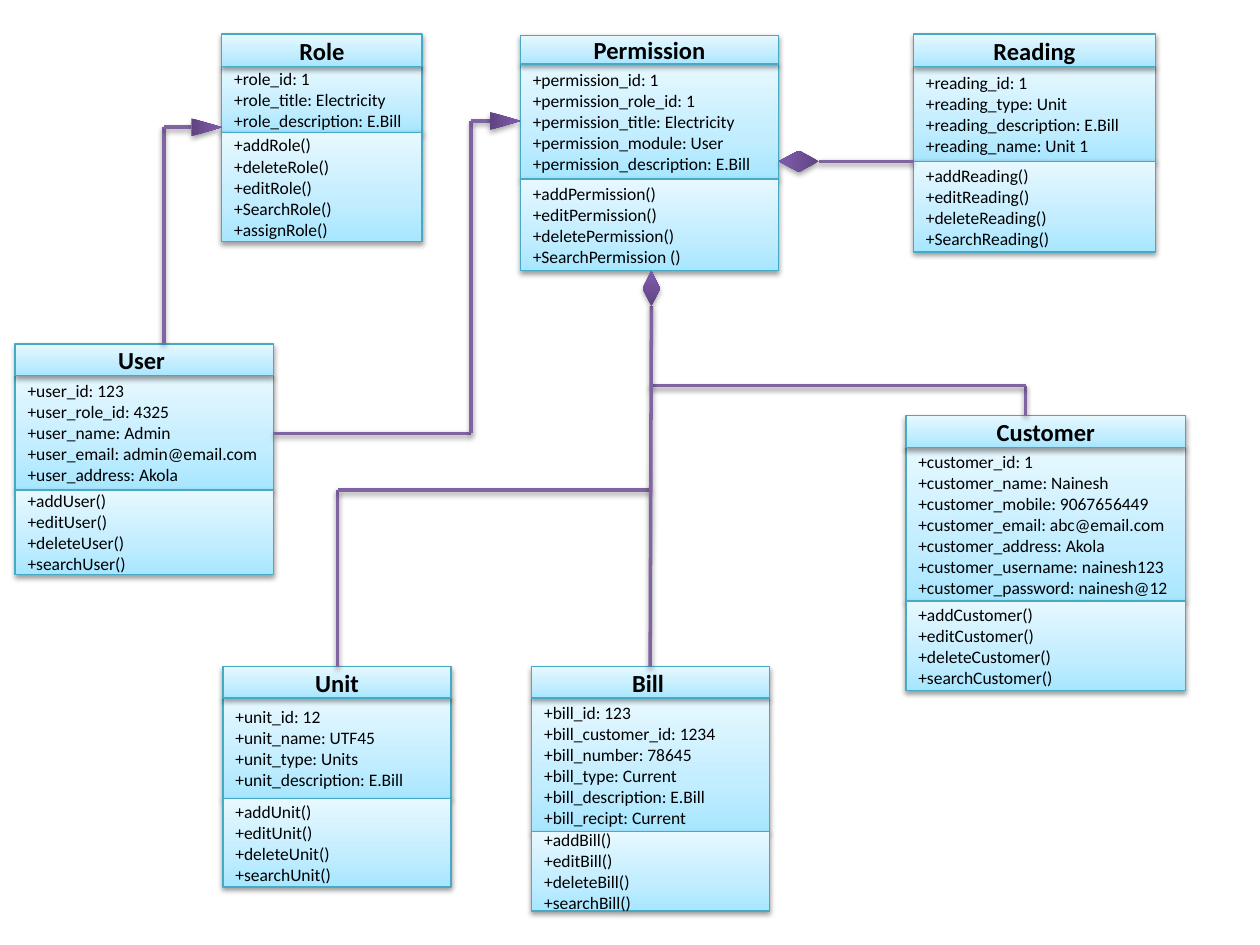
from copy import deepcopy
from lxml import etree
from pptx import Presentation
from pptx import util as u
from pptx.dml.color import RGBColor
from pptx.enum import shapes, text
from pptx.oxml import parse_xml
from pptx.oxml.ns import nsdecls, qn

BLACK = RGBColor(0x00, 0x00, 0x00)
EDGE = RGBColor(0x46, 0xAA, 0xC5)
PURPLE = RGBColor(0x80, 0x64, 0xA2)
SKY = ((0, RGBColor(0xA7, 0xE6, 0xFF)), (0.35, RGBColor(0xC1, 0xED, 0xFF)),
       (1, RGBColor(0xE7, 0xF8, 0xFF)))
PLUM = ((0, RGBColor(0x5F, 0x44, 0x80)), (0.8, RGBColor(0x7B, 0x58, 0xA6)),
        (1, RGBColor(0x7C, 0x57, 0xA8)))
FONT = "Calibri"
COLS, ROWS = 100, 75
FORM = shapes.MSO_SHAPE


class Board:
    """Holds the slide, its grid and the diagram style."""

    def __init__(self, deck):
        """Add a blank slide and work out the grid cell."""
        self.slide = deck.slides.add_slide(deck.slide_layouts[6])
        self.col = deck.slide_width / COLS
        self.row = deck.slide_height / ROWS

    def span(self, x, y):
        """Turn columns and rows into slide lengths."""
        return u.Emu(round(x * self.col)), u.Emu(round(y * self.row))

    def shade(self, item, alpha=38, dist=1.6):
        """Cast a soft shadow straight down."""
        props = item._element.spPr
        for old in props.findall(qn("a:effectLst")):
            props.remove(old)
        props.append(parse_xml(
            f'<a:effectLst {nsdecls("a")}><a:outerShdw blurRad="{u.Pt(3.1)}" '
            f'dist="{u.Pt(dist)}" dir="5400000" rotWithShape="0">'
            f'<a:srgbClr val="{BLACK}"><a:alpha val="{alpha * 1000}"/>'
            '</a:srgbClr></a:outerShdw></a:effectLst>'))

    def shape(self, form, x, y, w, h, stops):
        """Add a preset shape with an upward gradient."""
        item = self.slide.shapes.add_shape(
            form, *self.span(x, y), *self.span(w, h))
        item.fill.gradient()
        item.fill.gradient_angle = 90
        chain = item._element.spPr.find(qn("a:gradFill")).find(qn("a:gsLst"))
        chain.append(deepcopy(chain[0]))
        for stop, (place, color) in zip(item.fill.gradient_stops, stops):
            stop.position = place
            stop.color.rgb = color
        return item

    def cell(self, x, y, w, h, lines, head=False):
        """Add one compartment of a class with its lines of text."""
        item = self.shape(FORM.RECTANGLE, x, y, w, h, SKY)
        item.line.color.rgb = EDGE
        item.line.width = u.Pt(0.75)
        self.shade(item)
        frame = item.text_frame
        frame.word_wrap = True
        frame.vertical_anchor = text.MSO_ANCHOR.MIDDLE
        for i, line in enumerate(lines):
            para = frame.add_paragraph() if i else frame.paragraphs[0]
            para.alignment = (text.PP_ALIGN.CENTER if head
                              else text.PP_ALIGN.LEFT)
            run = para.add_run()
            run.text = line
            run.font.name = FONT
            run.font.size = u.Pt(14 if head else 10)
            run.font.bold = head
            run.font.color.rgb = BLACK

    def entity(self, name, x, y, w, sizes, fields, calls):
        """Stack the name, fields and calls of a class."""
        top, mid, low = sizes
        self.cell(x, y + top, w, mid, fields)
        self.cell(x, y, w, top, [name], head=True)
        self.cell(x, y + top + mid, w, low, calls)

    def route(self, *points):
        """Join points with straight lines."""
        for start, end in zip(points, points[1:]):
            line = self.slide.shapes.add_connector(
                shapes.MSO_CONNECTOR.STRAIGHT,
                *self.span(*start), *self.span(*end))
            line.line.color.rgb = PURPLE
            line.line.width = u.Pt(2)
            self.shade(line)

    def mark(self, form, x, y, w, h, turn=0):
        """Add a line end, centred on a point."""
        item = self.shape(form, x - w / 2, y - h / 2, w, h, PLUM)
        item.rotation = turn
        item.line.fill.background()
        self.shade(item, 35, 1.8)


def calls(noun, *verbs):
    """Name the calls of a class."""
    return [f"+{verb}{noun}()" for verb in verbs]


def fields(stem, **values):
    """Name the fields of a class, with their values."""
    return [f"+{stem}_{key}: {value}" for key, value in values.items()]


ENTITIES = [
    ("Permission", 41.3, 2.8, 20.5, (2.3, 9.1, 7.3),
     fields("permission", id=1, role_id=1, title="Electricity", module="User",
            description="E.Bill"),
     calls("Permission", "add", "edit", "delete") + ["+SearchPermission ()"]),
    ("Role", 17.6, 2.7, 15.9, (2.6, 5.2, 8.7),
     fields("role", id=1, title="Electricity", description="E.Bill"),
     calls("Role", "add", "delete", "edit", "Search", "assign")),
    ("Reading", 72.5, 2.7, 19.2, (2.6, 7.5, 7.2),
     fields("reading", id=1, type="Unit", description="E.Bill", name="Unit 1"),
     calls("Reading", "add", "edit", "delete", "Search")),
    ("User ", 1.2, 27.3, 20.5, (2.5, 9.1, 6.7),
     fields("user", id=123, role_id=4325, name="Admin",
            email="admin@email.com", address="Akola"),
     calls("User", "add", "edit", "delete", "search")),
    ("Unit", 17.7, 52.9, 18.1, (2.5, 8, 7),
     fields("unit", id=12, name="UTF45", type="Units", description="E.Bill"),
     calls("Unit", "add", "edit", "delete", "search")),
    ("Bill ", 42.2, 52.9, 18.9, (2.5, 10.6, 6.3),
     fields("bill", id=123, customer_id=1234, number=78645, type="Current",
            description="E.Bill", recipt="Current"),
     calls("Bill", "add", "edit", "delete", "search")),
    ("Customer", 71.9, 33, 22.2, (2.5, 12.2, 7.1),
     fields("customer", id=1, name="Nainesh", mobile=9067656449,
            email="abc@email.com", address="Akola", username="nainesh123",
            password="nainesh@12"),
     calls("Customer", "add", "edit", "delete", "search")),
]

ROUTES = [
    ((81.4, 33), (81.4, 30.6), (51.6, 30.6)),
    ((26.8, 52.9), (26.8, 38.9), (51.6, 38.9)),
    ((13, 27.3), (13, 10.1), (15.2, 10.1)),
    ((21.7, 34.4), (37.4, 34.4), (37.4, 9.6), (38.9, 9.6)),
    ((51.7, 24.3), (51.6, 52.9)),
    ((72.5, 12.8), (65, 12.8)),
]

MARKS = [
    (FORM.DIAMOND, 51.7, 22.9, 1.4, 2.8),
    (FORM.DIAMOND, 63.4, 12.8, 1.7, 3.2, 270),
    (FORM.ISOSCELES_TRIANGLE, 40.1, 9.6, 1.4, 2.4, 90),
    (FORM.ISOSCELES_TRIANGLE, 16.4, 10.1, 1.4, 2.4, 90),
]

deck = Presentation()
deck.slide_width, deck.slide_height = u.Inches(10), u.Inches(7.5)
board = Board(deck)
for entity in ENTITIES:
    board.entity(*entity)
for points in ROUTES:
    board.route(*points)
for mark in MARKS:
    board.mark(*mark)
deck.save("out.pptx")
